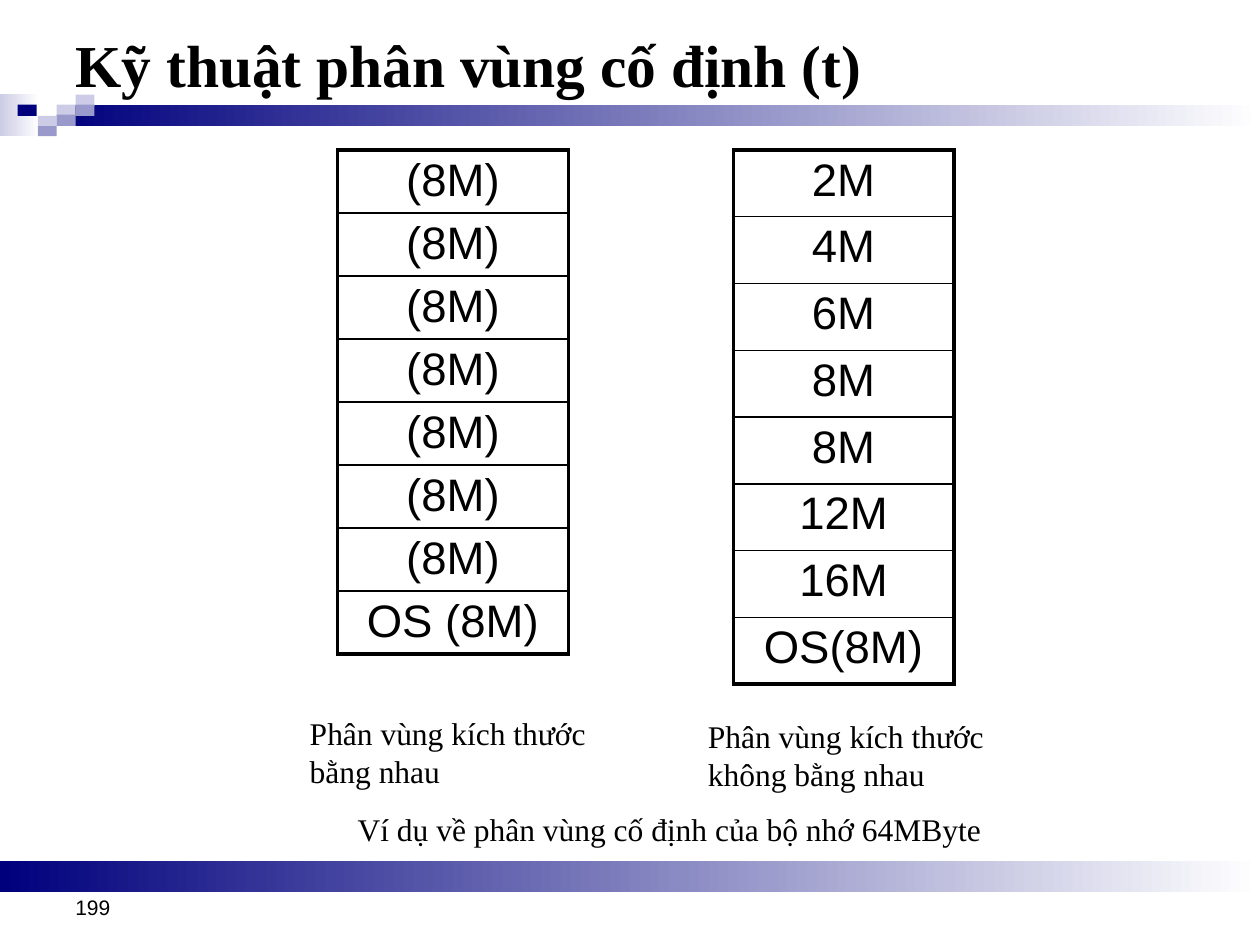
"""Build the slide on fixed memory partitioning with two partition tables."""
from dataclasses import dataclass

from lxml import etree
from pptx import Presentation
from pptx.dml.color import RGBColor as RGB
from pptx.enum.shapes import MSO_SHAPE as Shape
from pptx.enum.text import MSO_ANCHOR as Anchor, MSO_AUTO_SIZE as AutoSize, PP_ALIGN as Align
from pptx.oxml.ns import qn
from pptx.util import Inches, Pt


@dataclass(frozen=True)
class Theme:
    ink: RGB = RGB(0, 0, 0)
    paper: RGB = RGB(255, 255, 255)
    navy: RGB = RGB(0x00, 0x00, 0x7D)
    mid: RGB = RGB(0x99, 0x99, 0xCC)
    pale: RGB = RGB(0xCC, 0xCC, 0xE6)
    serif: str = "Times New Roman"
    sans: str = "Arial"
    title: Pt = Pt(34)
    cell: Pt = Pt(26)
    caption: Pt = Pt(18)
    number: Pt = Pt(12)


T = Theme()


def style(p, name, size, bold=False):
    p.font.name, p.font.size, p.font.bold = name, size, bold
    p.font.color.rgb = T.ink


def add_border(cell, side, width):
    ln = etree.SubElement(cell._tc.get_or_add_tcPr(), qn(f"a:{side}"), w=str(Pt(width)))
    fill = etree.SubElement(ln, qn("a:solidFill"))
    etree.SubElement(fill, qn("a:srgbClr"), val=str(T.ink))


prs = Presentation()
prs.slide_width, prs.slide_height = Inches(10), Inches(7.5)
s = prs.slides.add_slide(prs.slide_layouts[5])

bars = [
    (0, 0.75, 0.31, 0.33, T.pale, T.paper),
    (0.45, 0.83, 9.55, 0.17, T.navy, T.paper),
    (0.45, 0.83, 0.15, 0.09, T.pale, None),
    (0.6, 0.75, 0.15, 0.09, T.pale, None),
    (0.6, 0.83, 0.15, 0.09, T.mid, None),
    (0.3, 0.92, 0.15, 0.08, T.pale, None),
    (0.14, 0.83, 0.15, 0.09, T.navy, None),
    (0.45, 0.91, 0.15, 0.09, T.mid, None),
    (0.3, 1, 0.15, 0.08, T.mid, None),
    (0, 6.83, 10, 0.25, T.navy, T.paper),
]
for x, y, w, h, start, end in bars:
    sp = s.shapes.add_shape(Shape.RECTANGLE, Inches(x), Inches(y), Inches(w), Inches(h))
    sp.shadow.inherit = False
    sp.line.fill.background()
    if end is None:
        sp.fill.solid()
        sp.fill.fore_color.rgb = start
    else:
        sp.fill.gradient()
        sp.fill.gradient_angle = 0
        for stop, color, position in zip(sp.fill.gradient_stops, (start, end), (0, 1)):
            stop.color.rgb, stop.position = color, position

title = s.shapes.title
title.left, title.top, title.width, title.height = Inches(0.5), Inches(0.17), Inches(8), Inches(1.02)
tf = title.text_frame
tf.text = "Kỹ thuật phân vùng cố định (t)"
tf.vertical_anchor, tf.auto_size = Anchor.TOP, AutoSize.NONE
tf.paragraphs[0].alignment = Align.LEFT
style(tf.paragraphs[0], T.serif, T.title, bold=True)

tables = [
    (2.68, 1.83, 0.5, ["(8M)"] * 7 + ["OS (8M)"]),
    (5.82, 1.75, 0.53, ["2M", "4M", "6M", "8M", "8M", "12M", "16M", "OS(8M)"]),
]
for x, width, row_height, sizes in tables:
    last = len(sizes) - 1
    table = s.shapes.add_table(len(sizes), 1, Inches(x), Inches(1.19), Inches(width),
                               Inches(row_height * len(sizes))).table
    table.first_row = table.horz_banding = False
    for i, size in enumerate(sizes):
        table.rows[i].height = Inches(row_height)
        cell = table.cell(i, 0)
        cell.text = size
        cell.margin_top = cell.margin_bottom = Inches(0.04)
        p = cell.text_frame.paragraphs[0]
        p.alignment = Align.CENTER
        style(p, T.sans, T.cell)
        add_border(cell, "lnL", 2.25)
        add_border(cell, "lnR", 2.25)
        add_border(cell, "lnT", 2.25 if i == 0 else 1)
        add_border(cell, "lnB", 2.25 if i == last else 1)
        cell.fill.background()

texts = [
    (0.5, 6.83, 2.33, 0.52, ["199"], T.sans, T.number, Anchor.BOTTOM),
    (2.36, 5.62, 2.48, 0.71, ["Phân vùng kích thước", "bằng nhau"], T.serif, T.caption, Anchor.TOP),
    (5.52, 5.64, 2.48, 0.71, ["Phân vùng kích thước", "không bằng nhau"], T.serif, T.caption, Anchor.TOP),
    (2.74, 6.38, 5.18, 0.4, ["Ví dụ về phân vùng cố định của bộ nhớ 64MByte"], T.serif, T.caption, Anchor.TOP),
]
for x, y, w, h, lines, font, size, anchor in texts:
    tf = s.shapes.add_textbox(Inches(x), Inches(y), Inches(w), Inches(h)).text_frame
    tf.word_wrap = False
    tf.vertical_anchor = anchor
    tf.text = "\n".join(lines)
    for p in tf.paragraphs:
        p.alignment = Align.LEFT
        style(p, font, size)

prs.save("out.pptx")
